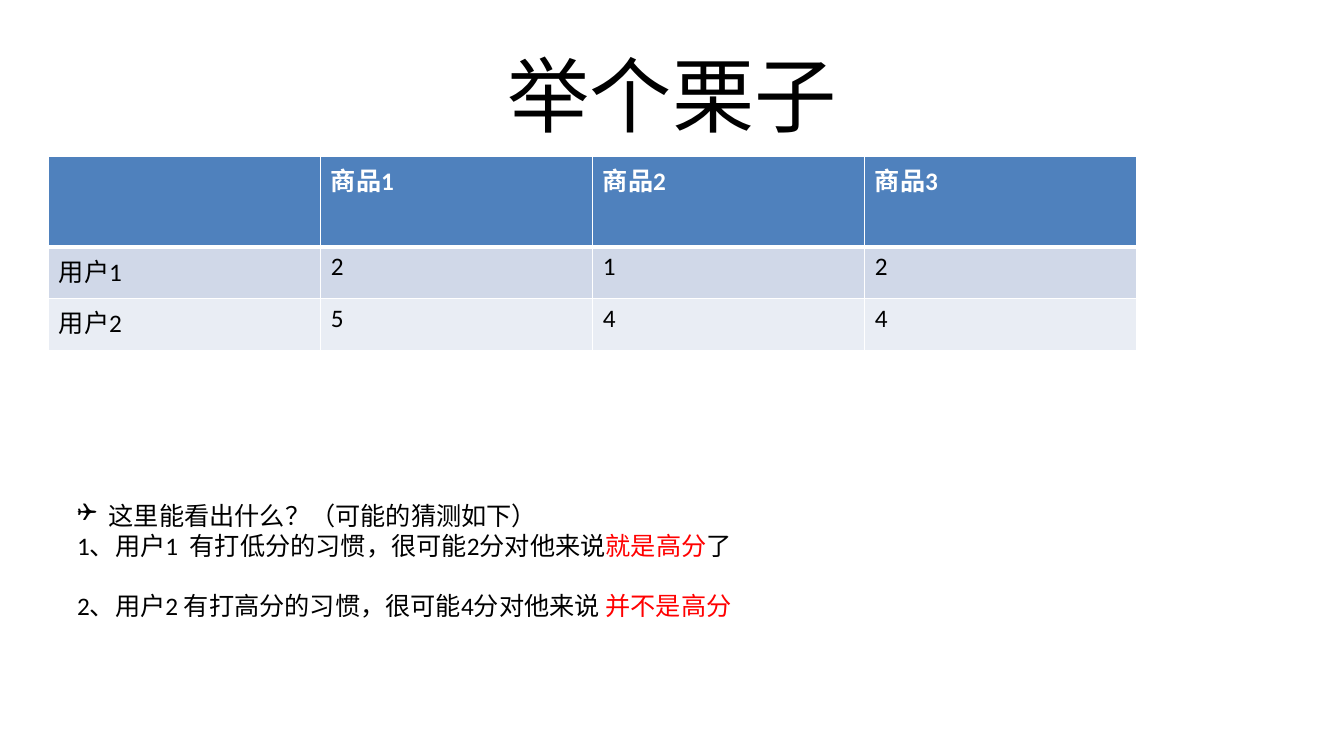
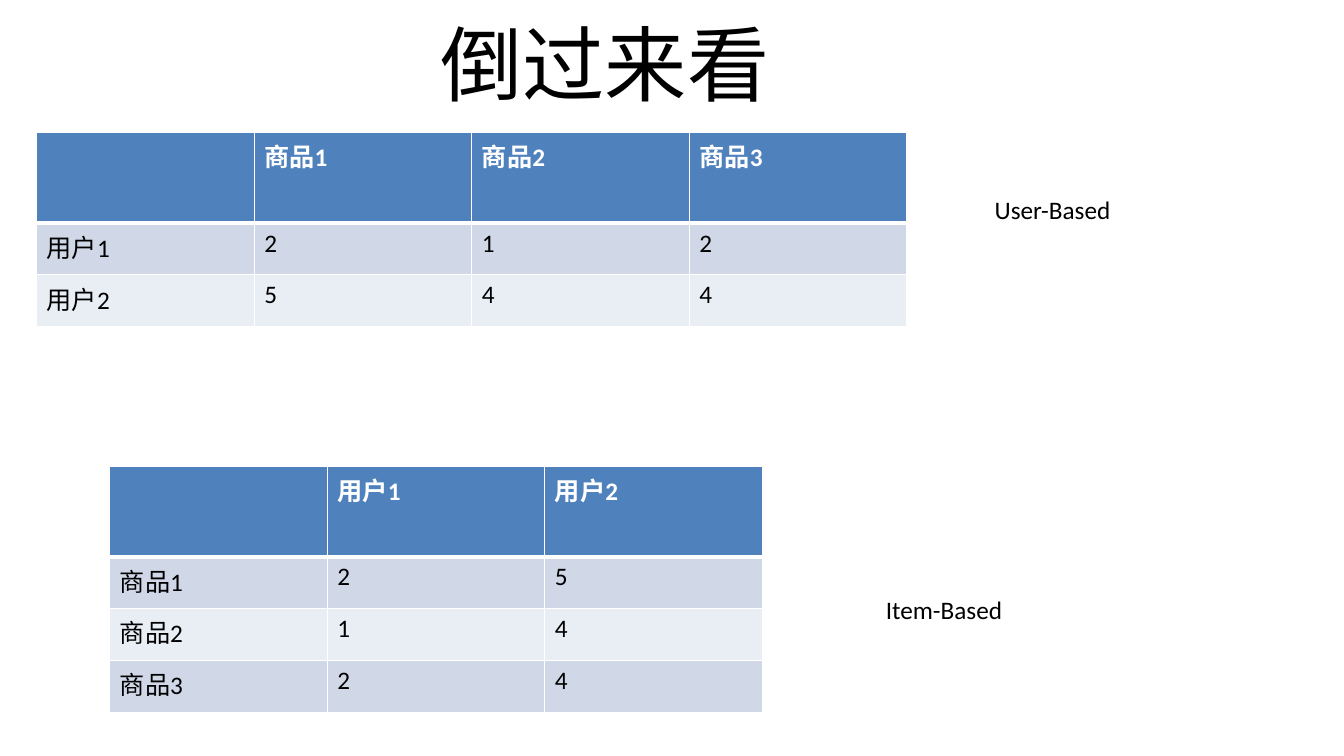
from lxml.etree import SubElement
from pptx import Presentation
from pptx.dml.color import RGBColor as RGB
from pptx.enum.text import MSO_ANCHOR as Anchor, PP_ALIGN as Align
from pptx.oxml.ns import qn
from pptx.util import Pt

COLORS = {
    "text": "000000",
    "accent": "FF0000",
    "white": "FFFFFF",
    "head": "4F81BD",
    "odd": "D0D8E8",
    "even": "E9EDF4",
}
FONT = "Calibri"
BODY, TITLE = 18, 58.7
HEAD_H, ROW_H = 64.5, 37

GRID = [
    ["", "商品1", "商品2", "商品3"],
    ["用户1", "2", "1", "2"],
    ["用户2", "5", "4", "4"],
]


def add_run(para, text, color="text", size=BODY, bold=False):
    run = para.add_run()
    run.text = text
    font = run.font
    font.name, font.size, font.bold = FONT, Pt(size), bold
    font.color.rgb = RGB.from_string(COLORS[color])


def add_grid(slide, left, top, col_w, data):
    rows, cols = len(data), len(data[0])
    high = HEAD_H + ROW_H * (rows - 1)
    table = slide.shapes.add_table(
        rows, cols, Pt(left), Pt(top), Pt(col_w * cols), Pt(high)).table
    table.horz_banding = False
    for col in table.columns:
        col.width = Pt(col_w)
    for r, line in enumerate(data):
        table.rows[r].height = Pt(ROW_H if r else HEAD_H)
        fill = ("even" if r % 2 == 0 else "odd") if r else "head"
        for c, text in enumerate(line):
            cell = table.cell(r, c)
            # White borders, thick below the header
            props = cell._tc.get_or_add_tcPr()
            widths = {"L": 1, "R": 1, "T": 3 if r == 1 else 1, "B": 1 if r else 3}
            for side, width in widths.items():
                edge = SubElement(props, qn(f"a:ln{side}"), w=str(Pt(width)))
                paint = SubElement(edge, qn("a:solidFill"))
                SubElement(paint, qn("a:srgbClr"), val=COLORS["white"])
            cell.fill.solid()
            cell.fill.fore_color.rgb = RGB.from_string(COLORS[fill])
            if text:
                add_run(cell.text_frame.paragraphs[0], text,
                        "text" if r else "white", bold=r == 0)


deck = Presentation()
deck.slide_width, deck.slide_height = Pt(960), Pt(540)

# Slides with their titles
slides = []
for text, left, top in [("举个栗子", 48, 21.6), ("倒过来看", 0, 0)]:
    slide = deck.slides.add_slide(deck.slide_layouts[6])
    frame = slide.shapes.add_textbox(Pt(left), Pt(top), Pt(864), Pt(90)).text_frame
    frame.word_wrap = True
    frame.vertical_anchor = Anchor.MIDDLE
    para = frame.paragraphs[0]
    para.alignment = Align.CENTER
    add_run(para, text, size=TITLE)
    slides.append(slide)
first, second = slides

# Slide 1: ratings and guesses
add_grid(first, 34.8, 111.8, 194.3, GRID)
notes = [
    [("这里能看出什么？（可能的猜测如下）", "text")],
    [("1、用户1  有打低分的习惯，很可能2分对他来说", "text"),
     ("就是高分", "accent"), ("了", "text")],
    [("2、用户2 有打高分的习惯，很可能4分对他来说 ", "text"),
     ("并不是高分", "accent")],
]
frame = first.shapes.add_textbox(Pt(48), Pt(353.5), Pt(728.6), Pt(94.3)).text_frame
frame.word_wrap = True
for i, runs in enumerate(notes):
    para = frame.add_paragraph() if i else frame.paragraphs[0]
    for text, color in runs:
        add_run(para, text, color)
para.space_before = Pt(21.5)

# Hanging bullet on the question
props = frame.paragraphs[0]._p.get_or_add_pPr()
props.set("marL", str(Pt(22.5)))
props.set("indent", str(Pt(-22.5)))
SubElement(props, qn("a:buFont"), typeface="Wingdings")
SubElement(props, qn("a:buChar"), char="❑")

# Slide 2: the same ratings by user and by item
add_grid(second, 26.2, 94.8, 155.4, GRID)
add_grid(second, 78.4, 333.3, 155.4, list(zip(*GRID)))
for text, left, top in [("User-Based", 703.4, 135.4), ("Item-Based", 625.7, 420.7)]:
    frame = second.shapes.add_textbox(Pt(left), Pt(top), Pt(98.6), Pt(29)).text_frame
    frame.word_wrap = False
    add_run(frame.paragraphs[0], text)

deck.save("out.pptx")
